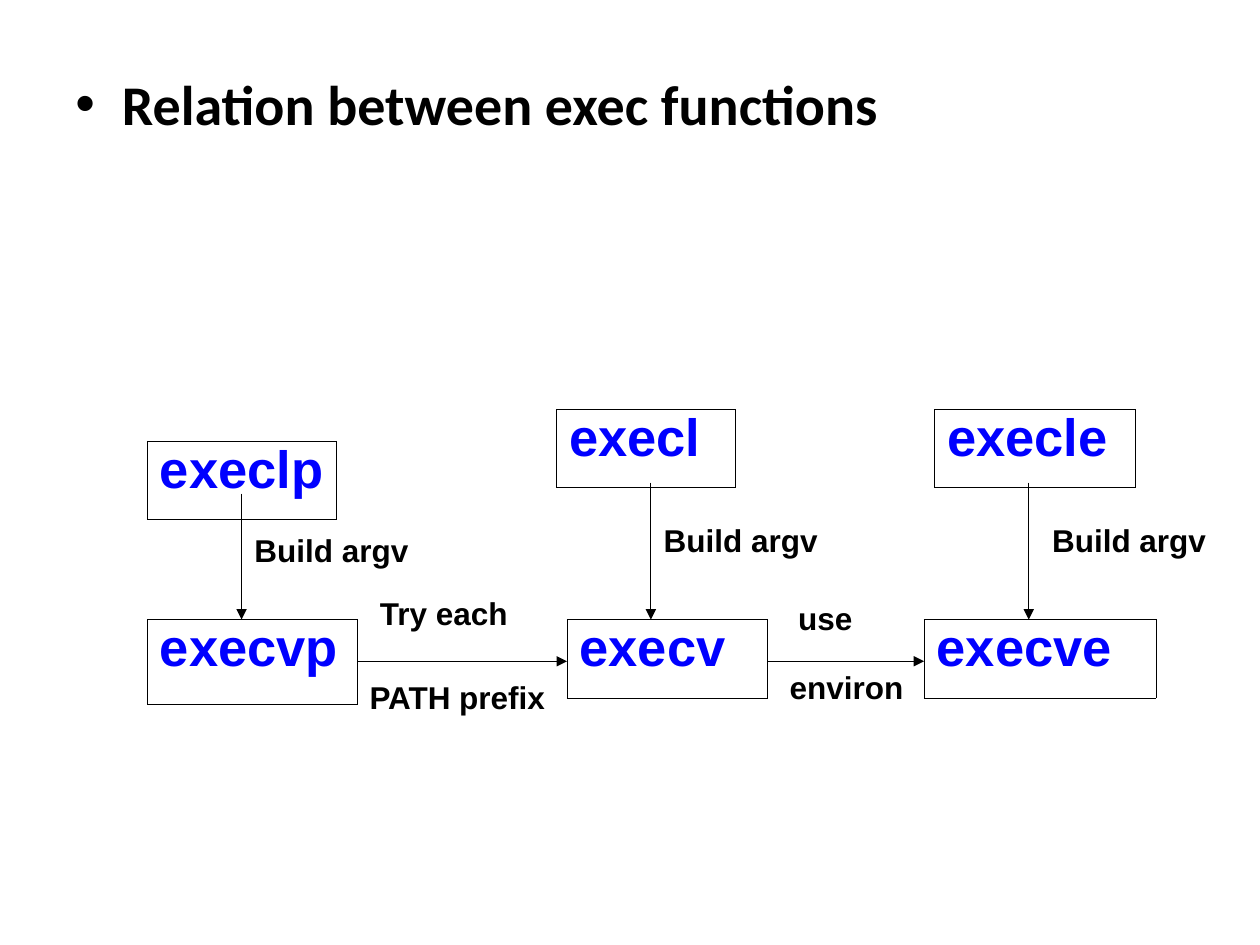
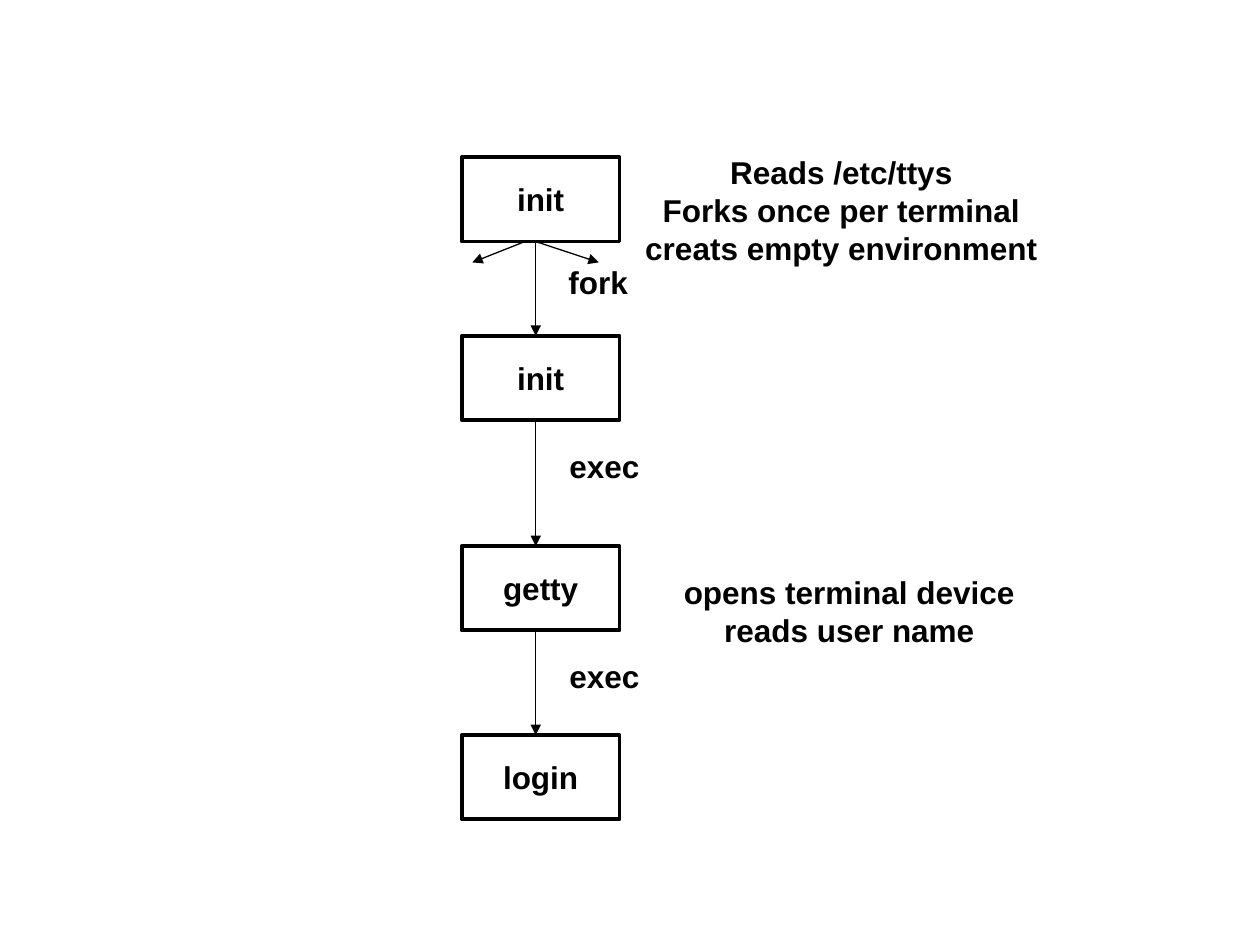
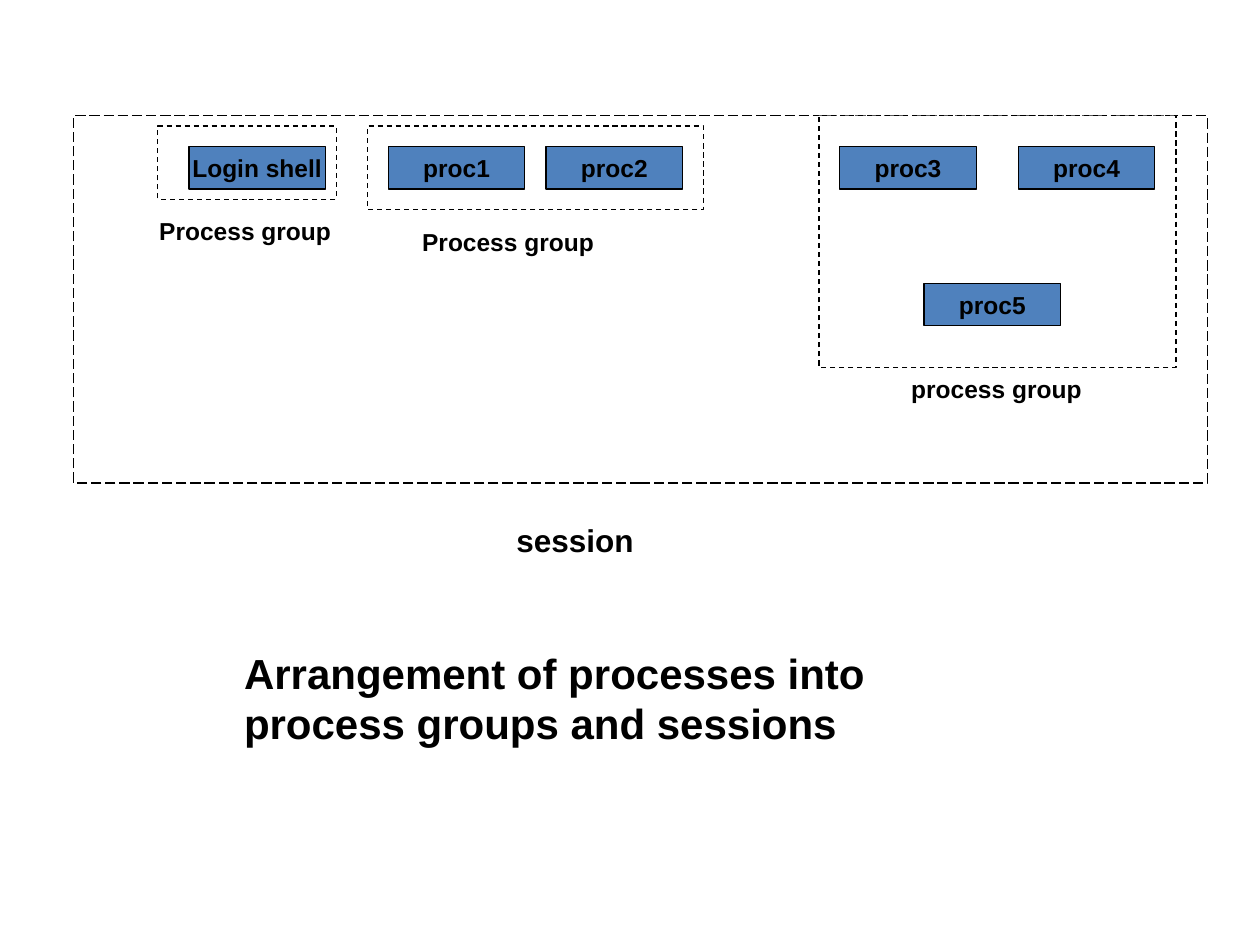
import pptx
import pptx.util
import pptx.dml.color
import pptx.enum.dml
import pptx.enum.shapes
import pptx.enum.text
import pptx.oxml
import pptx.oxml.ns

Cm, Pt = pptx.util.Cm, pptx.util.Pt
Align = pptx.enum.text.PP_ALIGN
Dash = pptx.enum.dml.MSO_LINE

BLACK = pptx.dml.color.RGBColor(0x00, 0x00, 0x00)
WHITE = pptx.dml.color.RGBColor(0xFF, 0xFF, 0xFF)
FUNCTION_BLUE = pptx.dml.color.RGBColor(0x00, 0x00, 0xFF)
PROCESS_BLUE = pptx.dml.color.RGBColor(0x4F, 0x81, 0xBD)

# All places are left, top, width, height in cm.
# Slide 1: exec functions
EXEC_TITLE = "Relation between exec functions"
EXEC_FUNCTIONS = {
    "execle": (18.84, 8.25, 4.04, 1.58),
    "execv": (11.43, 12.49, 4.04, 1.58),
    "execve": (18.63, 12.49, 4.67, 1.58),
    "execl": (11.22, 8.25, 3.6, 1.58),
    "execlp": (2.97, 8.89, 3.81, 1.57),
    "execvp": (2.97, 12.49, 4.24, 1.7),
}
ARGV_ARROWS = [(4.87, 9.95), (13.12, 9.73), (20.74, 9.73)]  # x, start
CALL_CHAIN = ["execvp", "execv", "execve"]
CALL_Y = 13.33
# text, place
EXEC_LABELS = [
    ("Build argv", (4.88, 10.58, 3.85, 1.02)),
    ("Build argv", (13.13, 10.37, 4.02, 1.02)),
    ("Build argv", (20.96, 10.37, 3.85, 1.02)),
    ("Try each", (7.41, 11.85, 3.35, 1.02)),
    ("PATH prefix", (7.2, 13.55, 4.3, 1.02)),
    ("use", (15.84, 11.96, 1.8, 1.02)),
    ("environ", (15.67, 13.34, 3.0, 1.02)),
]

# Slide 2: from init to login
LOGIN_STEPS = [("init", 3.17), ("init", 6.77), ("getty", 11.01), ("login", 14.82)]
STEP_LEFT, STEP_WIDTH, STEP_HEIGHT = 9.31, 3.18, 1.7
STEP_ARROW_X = 10.8
OTHER_FORKS = [((10.58, 4.87), (9.52, 5.29)), ((10.8, 4.87), (12.07, 5.29))]
LOGIN_LABELS = [
    ("fork", (11.11, 5.18, 1.9, 1.02)),
    ("Reads /etc/ttys\nForks once per terminal\ncreats empty environment",
     (12.61, 2.96, 8.7, 2.54)),
    ("opens terminal device\nreads user name", (12.23, 11.43, 9.78, 1.78)),
    ("exec", (11.13, 8.89, 2.11, 1.02)),
    ("exec", (11.13, 13.13, 2.11, 1.02)),
]

# Slide 3: session and process groups
SESSION = (1.48, 2.33, 22.86, 7.41)
PROCESS_GROUPS = [
    (16.51, 2.33, 7.2, 5.08),
    (3.18, 2.54, 3.6, 1.48),
    (7.41, 2.54, 6.77, 1.69),
]
PROCESSES = [
    ("Login shell", 3.81, 2.96), ("proc1", 7.83, 2.96), ("proc2", 11.01, 2.96),
    ("proc3", 16.93, 2.96), ("proc4", 20.53, 2.96), ("proc5", 18.63, 5.71),
]
PROCESS_SIZE = (2.75, 0.85)
# text, place, size
SESSION_LABELS = [
    ("Process group", (2.96, 4.23, 4.45, 0.86), 14),
    ("process group", (18.12, 7.41, 4.2, 0.86), 14),
    ("Process group", (8.26, 4.45, 4.45, 0.86), 14),
    ("session", (10.16, 10.37, 3.1, 1.02), 18),
    ("Arrangement of processes into\nprocess groups and sessions",
     (4.67, 12.92, 13.4, 2.29), 24),
]


def lengths(place):
    return [Cm(value) for value in place]


def write(frame, text, size=18, align=Align.LEFT, color=BLACK, font="Arial"):
    for index, line in enumerate(text.split("\n")):
        paragraph = frame.add_paragraph() if index else frame.paragraphs[0]
        paragraph.alignment = align
        run = paragraph.add_run()
        run.text = line
        run.font.name, run.font.size, run.font.bold = font, Pt(size), True
        run.font.color.rgb = color


def add_label(slide, text, place, size=18, align=Align.LEFT):
    frame = slide.shapes.add_textbox(*lengths(place)).text_frame
    frame.word_wrap = True
    write(frame, text, size, align)


def add_box(slide, place, text="", size=18, fill=WHITE, weight=0.75, dash=None):
    box = slide.shapes.add_shape(
        pptx.enum.shapes.MSO_SHAPE.RECTANGLE, *lengths(place))
    box.shadow.inherit = False
    box.fill.solid()
    box.fill.fore_color.rgb = fill
    box.line.color.rgb = BLACK
    box.line.width = Pt(weight)
    if dash:
        box.line.dash_style = dash
    if text:
        box.text_frame.word_wrap = False
        box.text_frame.vertical_anchor = pptx.enum.text.MSO_ANCHOR.MIDDLE
        write(box.text_frame, text, size, Align.CENTER)


def add_arrow(slide, start, end):
    arrow = slide.shapes.add_connector(
        pptx.enum.shapes.MSO_CONNECTOR.STRAIGHT, *lengths(start + end))
    arrow.line.color.rgb = BLACK
    arrow.line.width = Pt(0.75)
    add_xml(arrow.line._get_or_add_ln(), '<a:tailEnd {ns} type="triangle"/>')
    add_xml(arrow._element.spPr, "<a:effectLst {ns}/>")


def add_xml(parent, markup):
    parent.append(pptx.oxml.parse_xml(
        markup.replace("{ns}", pptx.oxml.ns.nsdecls("a"))))


def add_function(slide, name, place):
    table = slide.shapes.add_table(1, 1, *lengths(place)).table
    table.first_row = table.horz_banding = False
    cell = table.cell(0, 0)
    for side in "LRTB":
        add_xml(cell._tc.get_or_add_tcPr(),
                f'<a:ln{side} {{ns}} w="{Pt(0.23)}"><a:solidFill>'
                f'<a:srgbClr val="{BLACK}"/></a:solidFill></a:ln{side}>')
    cell.fill.background()
    write(cell.text_frame, name, 30, color=FUNCTION_BLUE)
    cell.text_frame.paragraphs[0].line_spacing = 0.87


def add_title(slide, text):
    frame = slide.shapes.add_textbox(*lengths((1.27, 1.27, 23.06, 15.75))).text_frame
    frame.word_wrap = True
    properties = frame.paragraphs[0]._p.get_or_add_pPr()
    properties.set("marL", str(Cm(0.94)))
    properties.set("indent", str(-Cm(0.94)))
    add_xml(properties, f'<a:buClr {{ns}}><a:srgbClr val="{BLACK}"/></a:buClr>')
    add_xml(properties, '<a:buFont {ns} typeface="Arial"/>')
    add_xml(properties, '<a:buChar {ns} char="•"/>')
    write(frame, text, 32, font="Calibri")


def build_exec(slide):
    add_title(slide, EXEC_TITLE)
    for name, place in EXEC_FUNCTIONS.items():
        add_function(slide, name, place)
    for x, start in ARGV_ARROWS:
        add_arrow(slide, (x, start), (x, EXEC_FUNCTIONS["execv"][1]))
    for caller, called in zip(CALL_CHAIN, CALL_CHAIN[1:]):
        left, _, width, _ = EXEC_FUNCTIONS[caller]
        add_arrow(slide, (left + width, CALL_Y), (EXEC_FUNCTIONS[called][0], CALL_Y))
    for label in EXEC_LABELS:
        add_label(slide, *label)


def build_login(slide):
    for name, top in LOGIN_STEPS:
        add_box(slide, (STEP_LEFT, top, STEP_WIDTH, STEP_HEIGHT), name, weight=2.25)
    for (_, top), (_, next_top) in zip(LOGIN_STEPS, LOGIN_STEPS[1:]):
        add_arrow(slide, (STEP_ARROW_X, top + STEP_HEIGHT), (STEP_ARROW_X, next_top))
    for start, end in OTHER_FORKS:
        add_arrow(slide, start, end)
    for label in LOGIN_LABELS:
        add_label(slide, *label, align=Align.CENTER)


def build_session(slide):
    add_box(slide, SESSION, dash=Dash.LONG_DASH)
    for group in PROCESS_GROUPS:
        add_box(slide, group, dash=Dash.DASH)
    for name, left, top in PROCESSES:
        add_box(slide, (left, top) + PROCESS_SIZE, name, 14, PROCESS_BLUE)
    for label in SESSION_LABELS:
        add_label(slide, *label)


def main():
    deck = pptx.Presentation()
    deck.slide_width, deck.slide_height = Cm(25.4), Cm(19.05)
    for build in (build_exec, build_login, build_session):
        build(deck.slides.add_slide(deck.slide_layouts[6]))
    deck.save("out.pptx")


if __name__ == "__main__":
    main()
